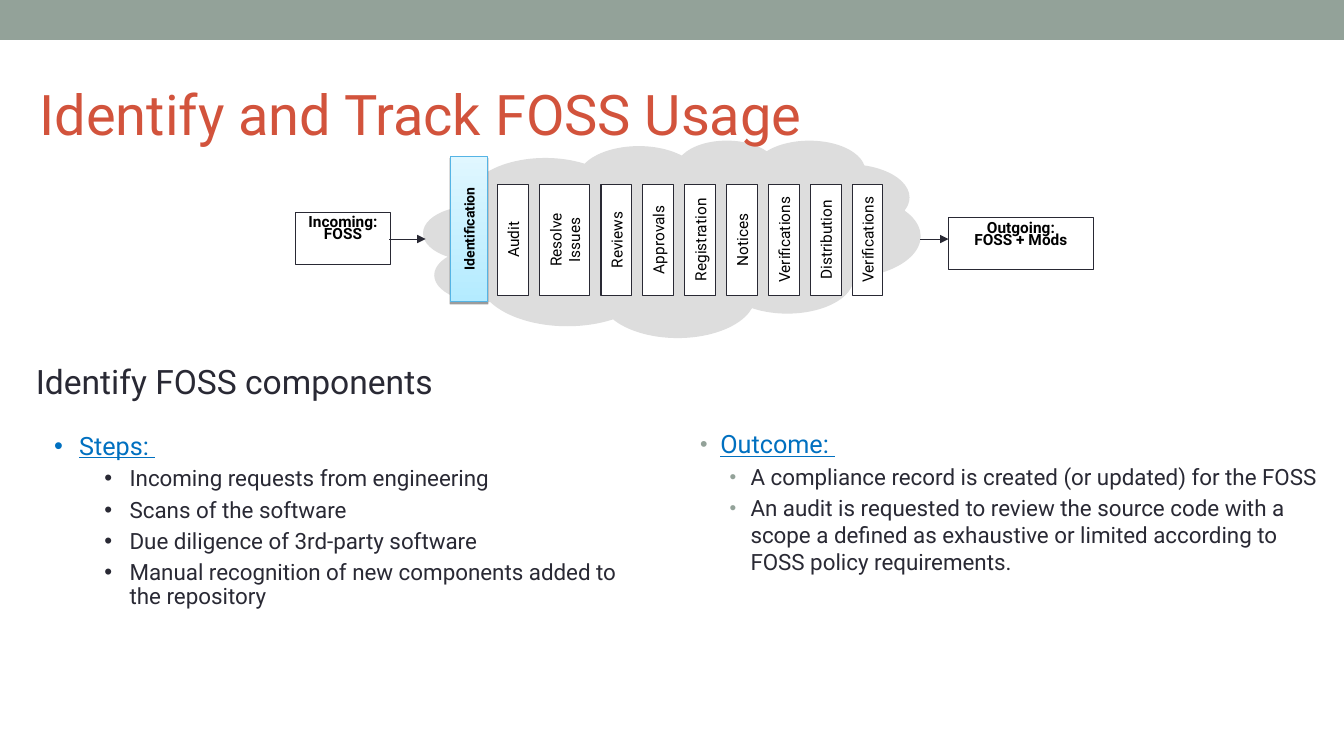
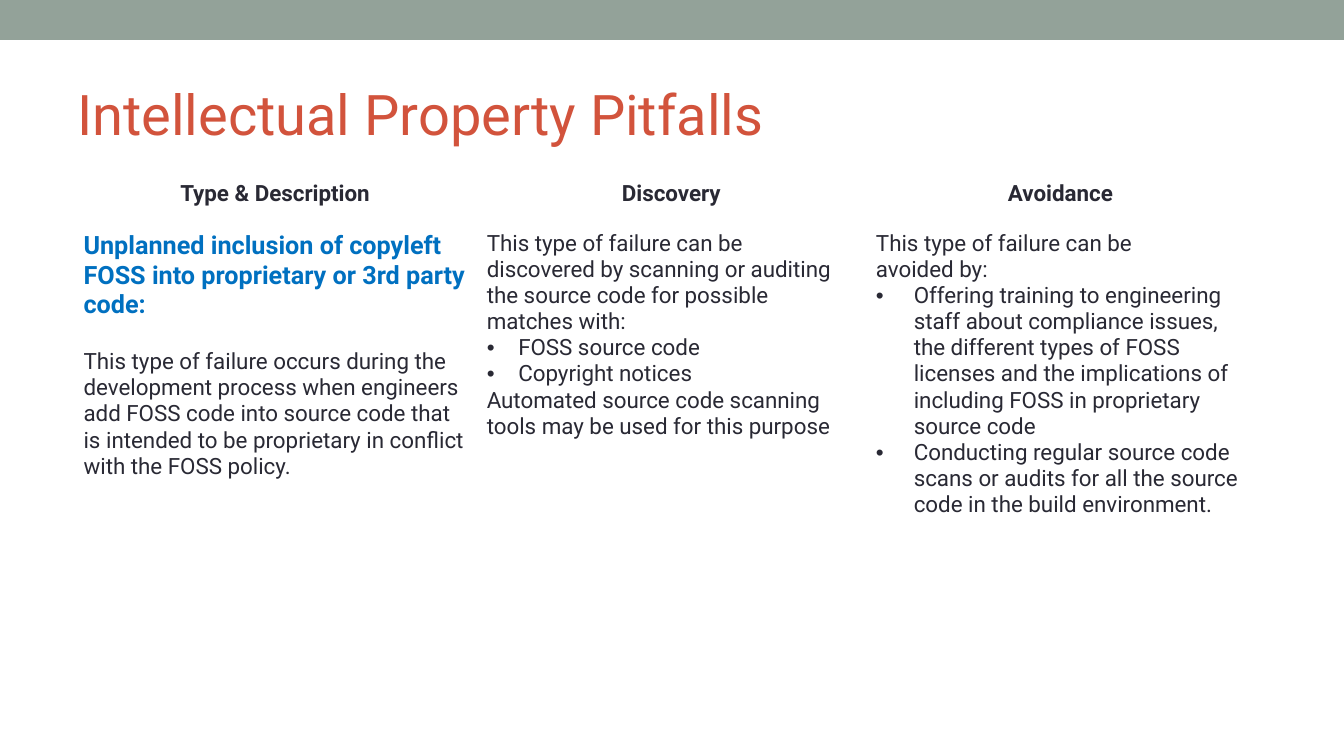
from dataclasses import dataclass
from typing import NamedTuple

from lxml import etree
from pptx import Presentation
from pptx.dml.color import RGBColor
from pptx.enum.shapes import MSO_CONNECTOR, MSO_SHAPE
from pptx.enum.text import MSO_ANCHOR, MSO_AUTO_SIZE, PP_ALIGN
from pptx.oxml.ns import qn
from pptx.util import Pt

RECT, CLOUD = MSO_SHAPE.RECTANGLE, MSO_SHAPE.CLOUD_CALLOUT
LINE = MSO_CONNECTOR.STRAIGHT
LEFT, CENTER = PP_ALIGN.LEFT, PP_ALIGN.CENTER
TOP, MIDDLE = MSO_ANCHOR.TOP, MSO_ANCHOR.MIDDLE
FIXED = MSO_AUTO_SIZE.NONE


@dataclass(frozen=True)
class Theme:
    font: str = "Roboto"
    sage: str = "93A299"
    rust: str = "D2533C"
    ink: str = "292934"
    blue: str = "0070C0"
    black: str = "000000"
    white: str = "FFFFFF"
    cloud: str = "DDDDDD"
    sky: str = "55B4E5"
    pale: str = "E0F7FF"
    aqua: str = "B4EBFF"
    title: int = 40
    sub: int = 24
    lead: int = 18
    body: int = 16
    label: int = 11
    small: int = 10


T = Theme()


class Box(NamedTuple):
    x: float
    y: float
    w: float
    h: float

    def pts(self) -> list[Pt]:
        return [Pt(v) for v in self]


@dataclass(frozen=True)
class Para:
    text: str
    size: int = T.body
    color: str = T.ink
    bold: bool = False
    under: bool = False
    align: PP_ALIGN = LEFT
    before: float = 0
    lines: float = 1.0
    left: float = 0
    hang: float = 0
    bullet: str = ""
    scale: int = 100
    level: int = 0


class Bar(NamedTuple):
    text: str
    w: float = 22


def rgb(code: str) -> RGBColor:
    return RGBColor.from_string(code)


def mark(para, item: Para) -> None:
    """Set the indent and bullet of a paragraph."""
    props = para._p.get_or_add_pPr()
    props.set("marL", str(Pt(item.left)))
    props.set("indent", str(Pt(-item.hang)))
    if not item.bullet:
        etree.SubElement(props, qn("a:buNone"))
        return
    tint = etree.SubElement(props, qn("a:buClr"))
    etree.SubElement(tint, qn("a:srgbClr"), val=item.bullet)
    etree.SubElement(props, qn("a:buSzPct"), val=str(item.scale * 1000))
    etree.SubElement(props, qn("a:buFont"), typeface="Arial")
    etree.SubElement(props, qn("a:buChar"), char="•")


def write(frame, items: list[Para], anchor: MSO_ANCHOR = TOP) -> None:
    frame.word_wrap = True
    frame.vertical_anchor = anchor
    for n, item in enumerate(items):
        para = frame.add_paragraph() if n else frame.paragraphs[0]
        para.text = item.text
        para.level = item.level
        mark(para, item)
        para.alignment = item.align
        para.line_spacing = item.lines
        para.space_before = Pt(item.before)
        font = para.font
        font.name, font.size = T.font, Pt(item.size)
        font.bold, font.underline = item.bold, item.under
        font.color.rgb = rgb(item.color)


def shape(slide, box: Box, fill: str, line: str = "", kind: MSO_SHAPE = RECT):
    item = slide.shapes.add_shape(kind, *box.pts())
    item.shadow.inherit = False
    item.fill.solid()
    item.fill.fore_color.rgb = rgb(fill)
    if line:
        item.line.color.rgb = rgb(line)
        item.line.width = Pt(0.75)
    else:
        item.line.fill.background()
    return item


def text(slide, box: Box, items: list[Para], anchor: MSO_ANCHOR = TOP):
    item = slide.shapes.add_textbox(*box.pts())
    write(item.text_frame, items, anchor)
    return item


def arrow(slide, x: float, end: float, y: float) -> None:
    item = slide.shapes.add_connector(LINE, Pt(x), Pt(y), Pt(end), Pt(y))
    item.line.color.rgb = rgb(T.ink)
    item.line.width = Pt(0.75)
    etree.SubElement(item.line._get_or_add_ln(), qn("a:tailEnd"), type="triangle")
    etree.SubElement(item.element.spPr, qn("a:effectLst"))


def upright(box: Box) -> Box:
    """Give the unturned frame of a box that is turned by a quarter."""
    return Box(box.x + (box.w - box.h) / 2, box.y + (box.h - box.w) / 2,
               box.h, box.w)


def focus(slide, box: Box, name: str) -> None:
    """Draw the highlighted step with its gradient, shadow and label."""
    item = shape(slide, box, T.aqua, T.sky)
    item.fill.gradient()
    item.fill.gradient_angle = 270
    for stop, code, at in zip(item.fill.gradient_stops, (T.pale, T.aqua), (0, 1)):
        stop.color.rgb = rgb(code)
        stop.position = at
    effect = item.element.spPr.find(qn("a:effectLst"))
    shade = etree.SubElement(effect, qn("a:outerShdw"), blurRad="0",
                             dist=str(Pt(1.6)), dir="5400000", rotWithShape="0")
    tint = etree.SubElement(shade, qn("a:srgbClr"), val=T.black)
    etree.SubElement(tint, qn("a:alpha"), val="38000")
    label = Para(name, T.small, T.black, bold=True, align=CENTER)
    text(slide, upright(box), [label], MIDDLE).rotation = 270


def start(deck, name: str, x: float):
    slide = deck.slides.add_slide(deck.slide_layouts[5])
    title = slide.shapes.title
    title.left, title.top, title.width, title.height = Box(x, 42, 864, 77.5).pts()
    write(title.text_frame, [Para(name, T.title, T.rust)], MIDDLE)
    title.text_frame.auto_size = FIXED
    return slide


def flow(slide) -> None:
    cloud = shape(slide, Box(302.5, 100, 355, 141), T.cloud, kind=CLOUD)
    cloud.adjustments[0], cloud.adjustments[1] = -0.25, 0.16
    slide.shapes.element.insert(2, cloud.element)

    ends = ((Box(211, 152, 68, 37), ("Incoming:", "FOSS"), 0.65),
            (Box(677.5, 155.5, 103.5, 37), ("Outgoing:", "FOSS + Mods"), 0.7))
    for box, words, lines in ends:
        item = shape(slide, box, T.white, T.ink)
        write(item.text_frame, [Para(word, T.label, T.black, bold=True,
                                     align=CENTER, lines=lines) for word in words])
    arrow(slide, 278, 304, 170.75)
    arrow(slide, 657.5, 677.5, 170.75)

    focus(slide, Box(321.5, 111.5, 27, 104), "Identification")
    bars = [Bar("Audit"), Bar("Resolve Issues", 36), Bar("Reviews"),
            Bar("Approvals"), Bar("Registration"), Bar("Notices"),
            Bar("Verifications"), Bar("Distribution"), Bar("Verifications")]
    x, gap = 355.5, 7.9
    for bar in bars:
        item = shape(slide, upright(Box(x, 131.5, bar.w, 79.5)), T.white, T.ink)
        item.rotation = 270
        write(item.text_frame,
              [Para(bar.text, T.label, T.black, align=CENTER)], MIDDLE)
        x += bar.w + gap


def usage(deck) -> None:
    slide = start(deck, "Identify and Track FOSS Usage", 21)
    flow(slide)
    text(slide, Box(18.5, 254, 305.5, 65.5),
         [Para("Identify FOSS components", T.sub)])

    steps = ("Incoming requests from engineering", "Scans of the software",
             "Due diligence of 3rd-party software",
             "Manual recognition of new components added to the repository")
    text(slide, Box(31.5, 306, 433.5, 206),
         [Para("Steps: ", T.lead, T.blue, under=True, lines=0.9,
               left=18, hang=18, bullet=T.blue)]
         + [Para(step, lines=0.9, before=5, left=54, hang=18,
                 bullet=T.ink, level=1) for step in steps])

    gains = ("A compliance record is created (or updated) for the FOSS",
             "An audit is requested to review the source code with a scope a "
             "defined as exhaustive or limited according to FOSS policy "
             "requirements.")
    text(slide, Box(493, 302.5, 467, 181.5),
         [Para("Outcome: ", T.lead, T.blue, under=True, left=14.5, hang=14.5,
               bullet=T.sage, scale=85)]
         + [Para(gain, before=3.2, left=36, hang=15, bullet=T.sage,
                 scale=85, level=1) for gain in gains])


def point(words: str, left: float) -> Para:
    return Para(words, left=left, hang=left, bullet=T.ink)


def pitfalls(deck) -> None:
    slide = start(deck, "Intellectual Property Pitfalls", 48)
    heads = [[Para(head, bold=True, align=CENTER)]
             for head in ("Type & Description", "Discovery", "Avoidance")]
    kind = [
        Para("Unplanned inclusion of copyleft FOSS into proprietary or "
             "3rd party code:", T.lead, T.blue, bold=True),
        Para("This type of failure occurs during the development process when "
             "engineers add FOSS code into source code that is intended to be "
             "proprietary in conflict with the FOSS policy.", before=21)]
    find = [
        Para("This type of failure can be"),
        Para("discovered by scanning or auditing the source code for possible"),
        Para("matches with:"),
        point("FOSS source code", 22.5),
        point("Copyright notices", 22.5),
        Para("Automated source code scanning tools may be used for this purpose")]
    avoid = [
        Para("This type of failure can be"),
        Para("avoided by:"),
        point("Offering training to engineering staff about compliance issues, "
              "the different types of FOSS licenses and the implications of "
              "including FOSS in proprietary source code", 27),
        point("Conducting regular source code scans or audits for all the "
              "source code in the build environment.", 27)]

    cols, rows = (288, 278, 278), (36, 330.5)
    box = Box(52.5, 125.5, sum(cols), sum(rows))
    table = slide.shapes.add_table(len(rows), len(cols), *box.pts()).table
    table.first_row = table.horz_banding = False
    for col, w in zip(table.columns, cols):
        col.width = Pt(w)
    for row, h, cells in zip(table.rows, rows, (heads, (kind, find, avoid))):
        row.height = Pt(h)
        for cell, items in zip(row.cells, cells):
            cell.fill.solid()
            cell.fill.fore_color.rgb = rgb(T.white)
            write(cell.text_frame, items)


def main() -> None:
    deck = Presentation()
    deck.slide_width, deck.slide_height = Pt(960), Pt(540)
    usage(deck)
    pitfalls(deck)
    band = shape(deck.slides[0], Box(0, 0, 960, 28.5), T.sage)
    deck.slide_layouts[5].shapes.element.insert(2, band.element)
    deck.save("out.pptx")


if __name__ == "__main__":
    main()
